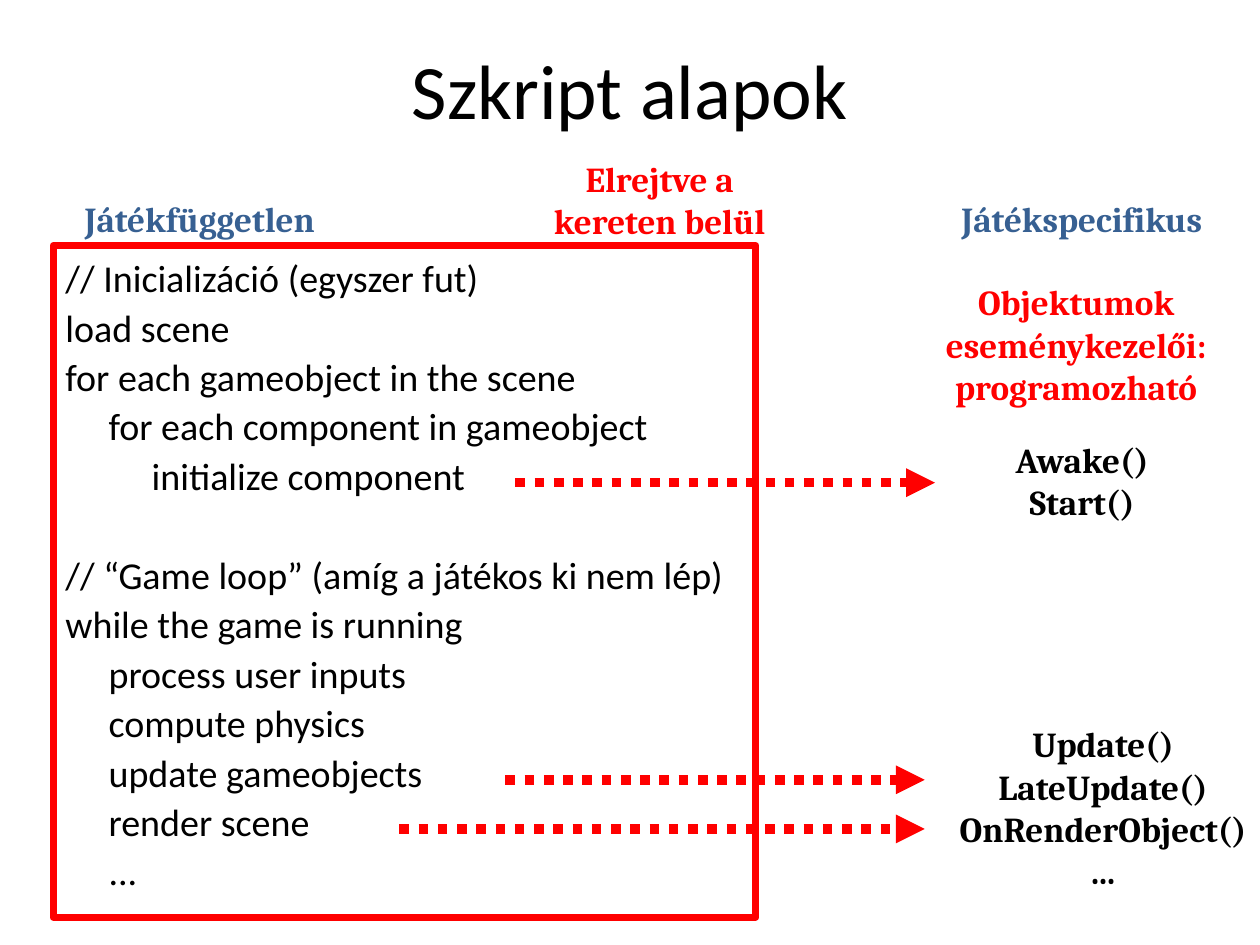
from dataclasses import dataclass

from lxml.etree import SubElement
from pptx import Presentation
from pptx.dml.color import RGBColor
from pptx.enum.dml import MSO_LINE_DASH_STYLE as Dash
from pptx.enum.shapes import MSO_CONNECTOR as Connector, MSO_SHAPE as Shape
from pptx.enum.text import MSO_ANCHOR as Anchor, MSO_AUTO_SIZE as AutoSize, PP_ALIGN as Align
from pptx.oxml.ns import qn
from pptx.util import Cm, Pt


@dataclass(frozen=True)
class Theme:
    body_font: str = "Calibri"
    label_font: str = "Cambria"
    black: RGBColor = RGBColor(0, 0, 0)
    red: RGBColor = RGBColor(0xFF, 0, 0)
    blue: RGBColor = RGBColor(0x37, 0x60, 0x92)
    title_size: float = 44
    label_size: float = 20
    code_size: float = 21.7
    arrow_width: float = 5.5
    frame_width: float = 4
    code_spacing: float = 0.7
    code_gap: float = 10
    section_gap: float = 38.5
    code_indent: float = 0.87


@dataclass(frozen=True)
class Box:
    left: float
    top: float
    width: float
    height: float

    def lengths(self) -> tuple:
        return Cm(self.left), Cm(self.top), Cm(self.width), Cm(self.height)


@dataclass(frozen=True)
class Label:
    lines: tuple[str, ...]
    box: Box
    color: RGBColor


@dataclass(frozen=True)
class CodeLine:
    text: str
    level: int = 0
    starts_section: bool = False


@dataclass(frozen=True)
class Arrow:
    start: float
    end: float
    height: float


THEME = Theme()
TITLE_BOX = Box(1.27, 0.2, 22.86, 3.18)
CODE_BOX = Box(1.07, 5.26, 22.86, 13.03)
FRAME_BOX = Box(1.07, 4.95, 14.17, 13.54)

LABELS = (
    Label(("Játékfüggetlen",), Box(1.07, 3.86, 5.92, 1.12), THEME.blue),
    Label(("Játékspecifikus",), Box(17.48, 3.86, 8.66, 1.12), THEME.blue),
    Label(("Elrejtve a kereten belül",), Box(10.8, 3.05, 5, 1.96), THEME.red),
    Label(("Objektumok eseménykezelői: programozható",), Box(18.62, 5.54, 6.15, 2.82), THEME.red),
    Label(("Awake()", "Start()"), Box(19.91, 8.71, 3.81, 1.96), THEME.black),
    Label(("Update()", "LateUpdate()", "OnRenderObject()", "..."),
          Box(18.85, 14.45, 6.78, 3.68), THEME.black),
)

CODE = (
    CodeLine("// Inicializáció (egyszer fut)"),
    CodeLine("load scene"),
    CodeLine("for each gameobject in the scene"),
    CodeLine("for each component in gameobject", 1),
    CodeLine("initialize component", 2),
    CodeLine("// “Game loop” (amíg a játékos ki nem lép)", starts_section=True),
    CodeLine("while the game is running"),
    CodeLine("process user inputs", 1),
    CodeLine("compute physics", 1),
    CodeLine("update gameobjects", 1),
    CodeLine("render scene", 1),
    CodeLine("...", 1),
)

ARROWS = (
    Arrow(10.39, 18.85, 9.73),
    Arrow(10.19, 18.64, 15.72),
    Arrow(8.05, 18.64, 16.71),
)


def add_text(slide, lines, box: Box, *, font: str, size: float, color=THEME.black,
             bold=False, align=Align.CENTER, anchor=Anchor.TOP, auto_size=AutoSize.NONE):
    frame = slide.shapes.add_textbox(*box.lengths()).text_frame
    frame.word_wrap = True
    frame.auto_size = auto_size
    frame.vertical_anchor = anchor
    for index, line in enumerate(lines):
        paragraph = frame.add_paragraph() if index else frame.paragraphs[0]
        paragraph.alignment = align
        run = paragraph.add_run()
        run.text = line
        run.font.name = font
        run.font.size = Pt(size)
        run.font.bold = bold
        run.font.color.rgb = color
    return frame


def add_code(slide, code: tuple[CodeLine, ...]) -> None:
    frame = add_text(slide, [line.text for line in code], CODE_BOX, font=THEME.body_font,
                     size=THEME.code_size, align=Align.LEFT)
    for index, (paragraph, line) in enumerate(zip(frame.paragraphs, code)):
        paragraph.line_spacing = THEME.code_spacing
        if index:
            paragraph.space_before = Pt(THEME.section_gap if line.starts_section else THEME.code_gap)
        paragraph._p.get_or_add_pPr().set("marL", str(Cm(THEME.code_indent * line.level)))


def add_arrow(slide, arrow: Arrow) -> None:
    height = Cm(arrow.height)
    connector = slide.shapes.add_connector(
        Connector.STRAIGHT, Cm(arrow.start), height, Cm(arrow.end), height)
    connector.line.color.rgb = THEME.red
    connector.line.width = Pt(THEME.arrow_width)
    connector.line.dash_style = Dash.ROUND_DOT
    properties = connector._element.spPr
    SubElement(properties.find(qn("a:ln")), qn("a:tailEnd"), type="triangle")
    SubElement(properties, qn("a:effectLst"))


def add_frame(slide, box: Box) -> None:
    shape = slide.shapes.add_shape(Shape.RECTANGLE, *box.lengths())
    shape.shadow.inherit = False
    shape.fill.background()
    shape.line.color.rgb = THEME.red
    shape.line.width = Pt(THEME.frame_width)


def main() -> None:
    presentation = Presentation()
    presentation.slide_width, presentation.slide_height = Cm(25.4), Cm(19.05)
    slide = presentation.slides.add_slide(presentation.slide_layouts[6])
    add_text(slide, ["Szkript alapok"], TITLE_BOX, font=THEME.body_font,
             size=THEME.title_size, anchor=Anchor.MIDDLE)
    add_code(slide, CODE)
    for arrow in ARROWS:
        add_arrow(slide, arrow)
    add_frame(slide, FRAME_BOX)
    for label in LABELS:
        add_text(slide, label.lines, label.box, font=THEME.label_font, size=THEME.label_size,
                 color=label.color, bold=True, auto_size=AutoSize.SHAPE_TO_FIT_TEXT)
    presentation.save("out.pptx")


if __name__ == "__main__":
    main()
